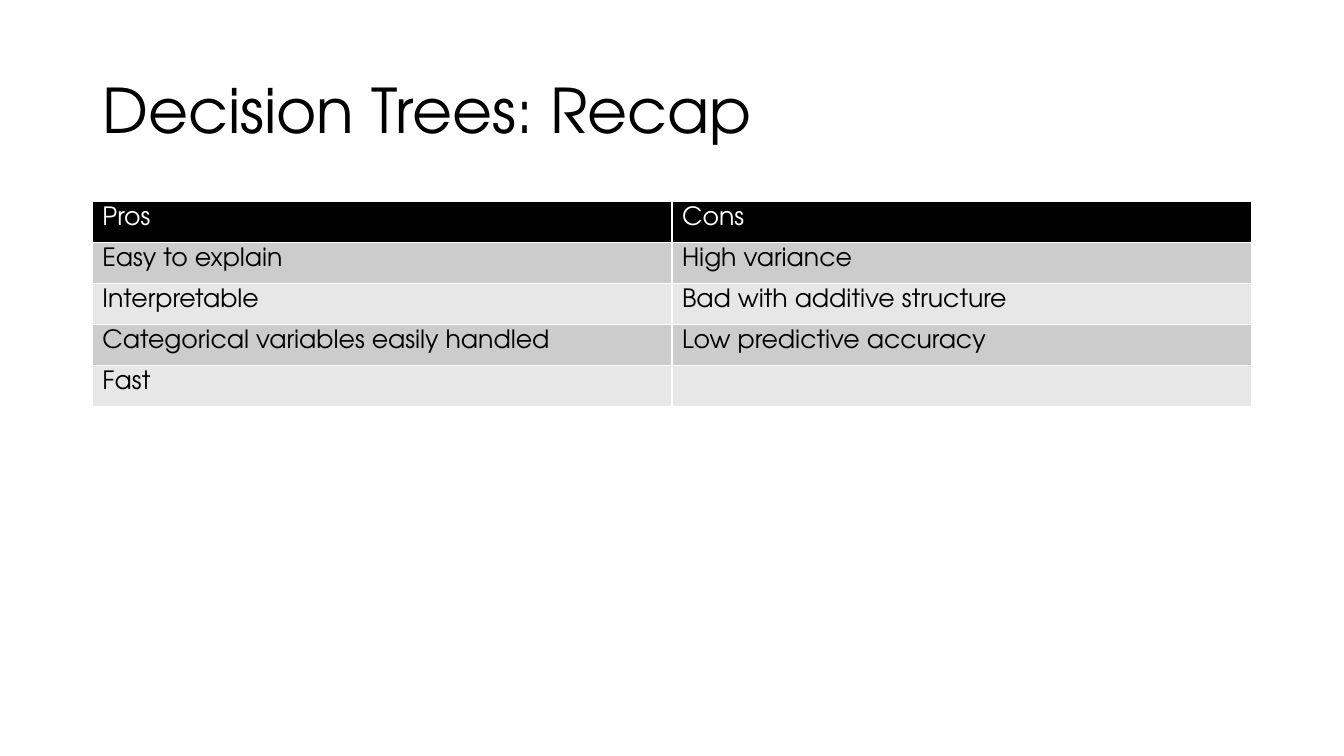
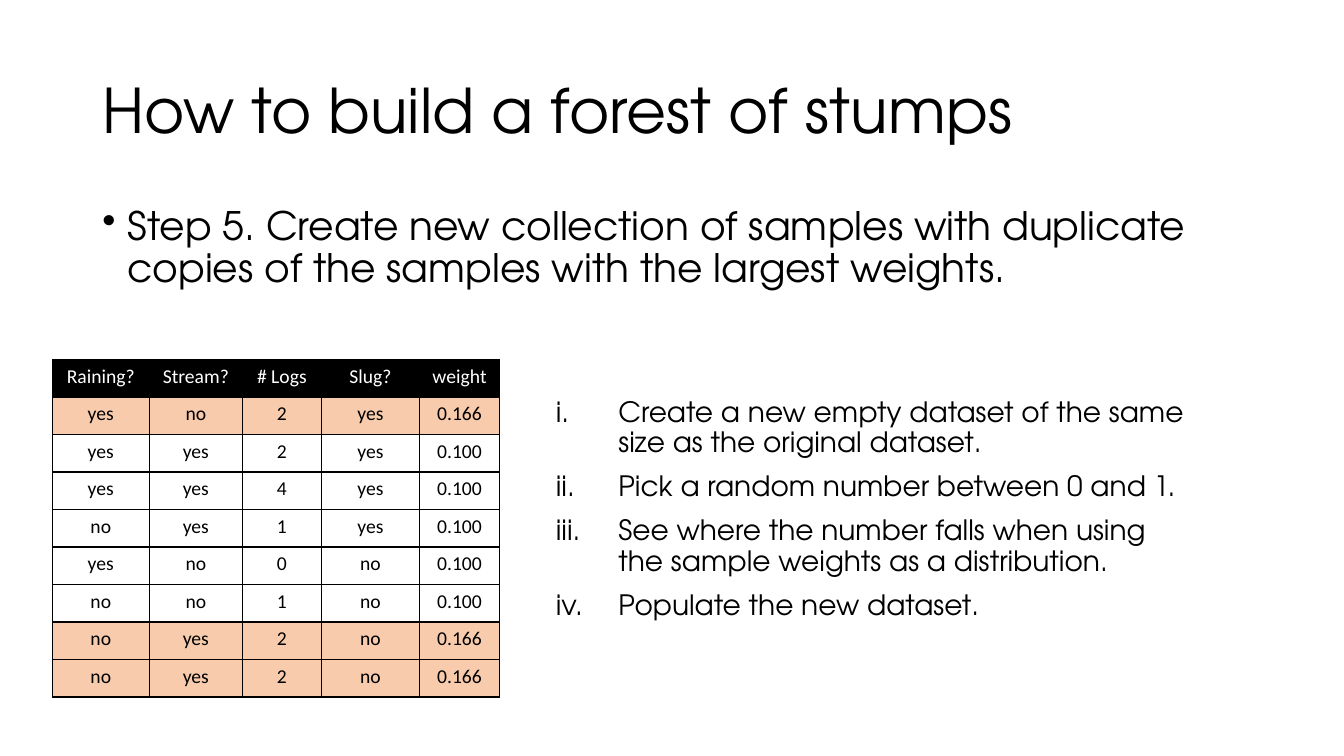
from collections import namedtuple

from lxml import etree
from pptx import Presentation
from pptx.dml.color import RGBColor
from pptx.enum.text import MSO_ANCHOR, PP_ALIGN
from pptx.oxml.ns import qn
from pptx.util import Inches, Pt

LEFT, CENTER = PP_ALIGN.LEFT, PP_ALIGN.CENTER
TOP, MIDDLE = MSO_ANCHOR.TOP, MSO_ANCHOR.MIDDLE

SLIDE_WIDTH, SLIDE_HEIGHT = Inches(13.333), Inches(7.5)
COLUMN, ROW = SLIDE_WIDTH / 160, SLIDE_HEIGHT / 90

BLACK, WHITE = "000000", "FFFFFF"
DARK_BAND, LIGHT_BAND, HIGHLIGHT = "CCCCCC", "E7E7E7", "F8CBAD"
BODY_FONT, DATA_FONT = "TeX Gyre Adventor", "Calibri"

Box = namedtuple("Box", "left top width height")
TITLE_BOX = Box(11, 4.8, 138, 17.4)
RECAP_BOX = Box(11, 24, 138, 24.4)
STEP_BOX = Box(11, 24, 138, 17.4)
SAMPLES_BOX = Box(6.25, 42.8, 53.2, 40.2)
ACTIONS_BOX = Box(65, 46.8, 78, 28.3)

RECAP_ROWS = [
    ("Pros", "Cons"),
    ("Easy to explain", "High variance"),
    ("Interpretable", "Bad with additive structure"),
    ("Categorical variables easily handled", "Low predictive accuracy"),
    ("Fast", ""),
]
SAMPLE_ROWS = [
    ("Raining?", "Stream?", "# Logs", "Slug?", "weight"),
    ("yes", "no", "2", "yes", "0.166"),
    ("yes", "yes", "2", "yes", "0.100"),
    ("yes", "yes", "4", "yes", "0.100"),
    ("no", "yes", "1", "yes", "0.100"),
    ("yes", "no", "0", "no", "0.100"),
    ("no", "no", "1", "no", "0.100"),
    ("no", "yes", "2", "no", "0.166"),
    ("no", "yes", "2", "no", "0.166"),
]
ACTIONS = [
    "Create a new empty dataset of the same size as the original dataset.",
    "Pick a random number between 0 and 1.",
    "See where the number falls when using the sample weights as a distribution.",
    "Populate the new dataset.",
]


def color(hex_string):
    return RGBColor.from_string(hex_string)


def place(box):
    return (round(box.left * COLUMN), round(box.top * ROW),
            round(box.width * COLUMN), round(box.height * ROW))


def write(text_frame, paragraphs, size=18, font=BODY_FONT, fill=BLACK, align=LEFT,
          line_spacing=None, space_before=None, marker=None, indent=0):
    for index, text in enumerate(paragraphs):
        paragraph = text_frame.paragraphs[0] if index == 0 else text_frame.add_paragraph()
        paragraph.alignment = align
        if line_spacing:
            paragraph.line_spacing = line_spacing
        if space_before:
            paragraph.space_before = Pt(space_before)
        if marker:
            tag, attributes = marker
            properties = paragraph._p.get_or_add_pPr()
            properties.set("marL", str(Inches(indent)))
            properties.set("indent", str(-Inches(indent)))
            etree.SubElement(properties, qn(tag), attributes)
        if text:
            run = paragraph.add_run()
            run.text = text
            run.font.size = Pt(size)
            run.font.name = font
            run.font.bold = False
            run.font.color.rgb = color(fill)


def add_text(slide, box, paragraphs, anchor=TOP, **text_format):
    text_frame = slide.shapes.add_textbox(*place(box)).text_frame
    text_frame.word_wrap = True
    text_frame.vertical_anchor = anchor
    write(text_frame, paragraphs, line_spacing=0.9, **text_format)


def add_borders(cell, hex_string):
    properties = cell._tc.get_or_add_tcPr()
    for side in ("a:lnL", "a:lnR", "a:lnT", "a:lnB"):
        line = etree.SubElement(properties, qn(side), w=str(Pt(1)))
        solid = etree.SubElement(line, qn("a:solidFill"))
        etree.SubElement(solid, qn("a:srgbClr"), val=hex_string)


def add_table(slide, box, rows, column_weights, row_fill, border, **text_format):
    position = place(box)
    table = slide.shapes.add_table(len(rows), len(column_weights), *position).table
    table.horz_banding = False
    for column, weight in zip(table.columns, column_weights):
        column.width = round(position[2] * weight / sum(column_weights))
    for row_index, values in enumerate(rows):
        table.rows[row_index].height = round(position[3] / len(rows))
        is_header = row_index == 0
        for column_index, value in enumerate(values):
            cell = table.cell(row_index, column_index)
            add_borders(cell, border)
            cell.fill.solid()
            cell.fill.fore_color.rgb = color(BLACK if is_header else row_fill(row_index, values))
            write(cell.text_frame, [value], fill=WHITE if is_header else BLACK, **text_format)


def banded_fill(row_index, values):
    return DARK_BAND if row_index % 2 else LIGHT_BAND


def weight_fill(row_index, values):
    return HIGHLIGHT if float(values[-1]) > 0.1 else WHITE


def add_titled_slide(presentation, title):
    slide = presentation.slides.add_slide(presentation.slide_layouts[6])
    add_text(slide, TITLE_BOX, [title], anchor=MIDDLE, size=44)
    return slide


def build_recap_slide(presentation):
    slide = add_titled_slide(presentation, "Decision Trees: Recap")
    add_table(slide, RECAP_BOX, RECAP_ROWS, (1, 1), banded_fill, WHITE)


def build_stumps_slide(presentation):
    slide = add_titled_slide(presentation, "How to build a forest of stumps")
    step = ("Step 5. Create new collection of samples with duplicate copies "
            "of the samples with the largest weights.")
    add_text(slide, STEP_BOX, [step], size=28, space_before=10,
             marker=("a:buChar", {"char": "•"}), indent=0.25)
    add_table(slide, SAMPLES_BOX, SAMPLE_ROWS, (96, 93, 78, 98, 79), weight_fill, BLACK,
              size=14, font=DATA_FONT, align=CENTER)
    add_text(slide, ACTIONS_BOX, ACTIONS, size=20, space_before=10,
             marker=("a:buAutoNum", {"type": "romanLcPeriod"}), indent=0.62)


def main():
    presentation = Presentation()
    presentation.slide_width, presentation.slide_height = SLIDE_WIDTH, SLIDE_HEIGHT
    build_recap_slide(presentation)
    build_stumps_slide(presentation)
    presentation.save("out.pptx")


if __name__ == "__main__":
    main()
